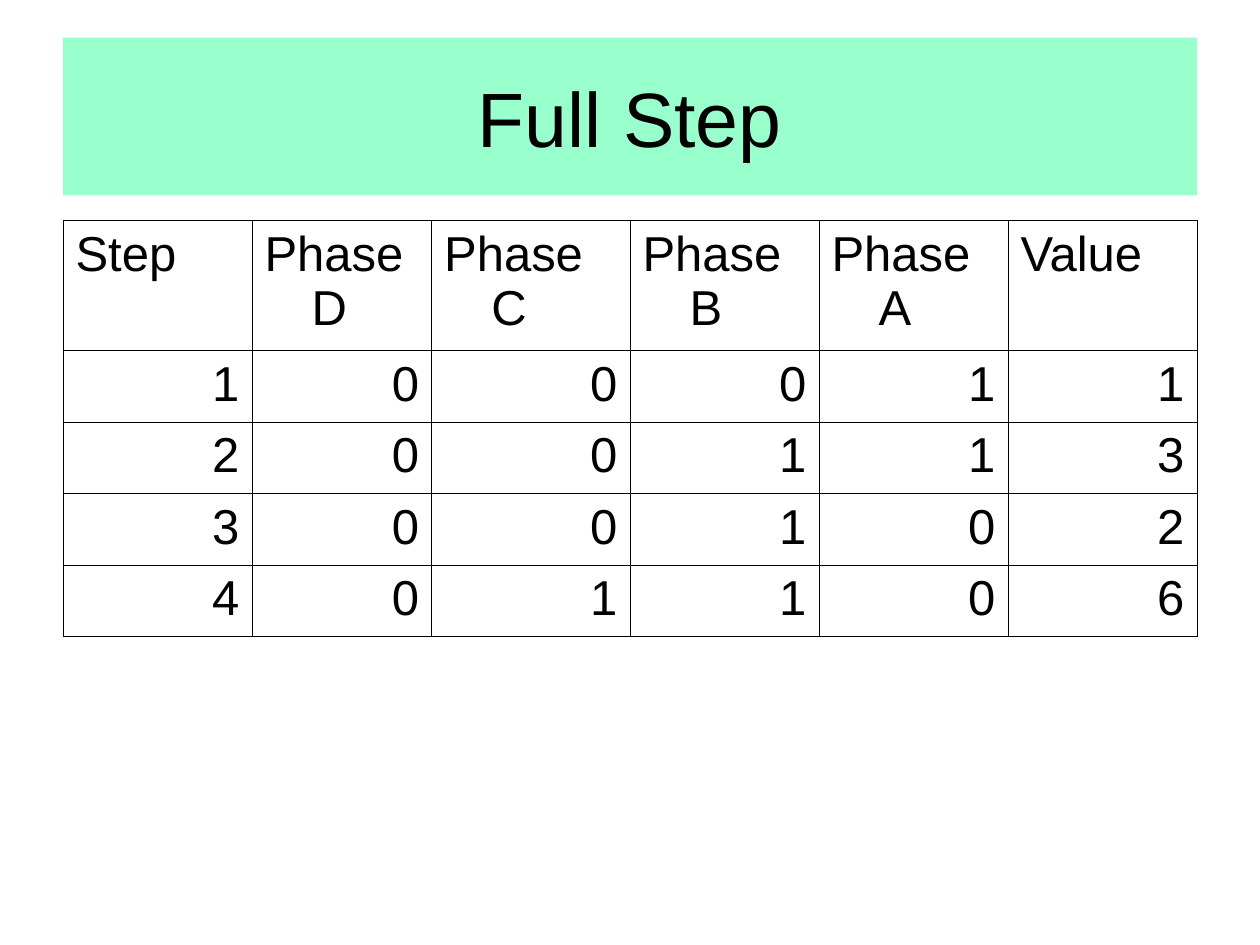
"""Build the Full Step slide: a title band above the stepper motor phase table."""
from lxml import etree
from pptx import Presentation
from pptx import util as u
from pptx.dml.color import RGBColor
from pptx.enum import text
from pptx.oxml import ns

MINT = RGBColor(0x99, 0xFF, 0xCC)
BLACK = RGBColor(0, 0, 0)
FONT = "Arial"

HEADINGS = ["Step", "Phase D", "Phase C", "Phase B", "Phase A", "Value"]
STEPS = [
    [1, 0, 0, 0, 1, 1],
    [2, 0, 0, 1, 1, 3],
    [3, 0, 0, 1, 0, 2],
    [4, 0, 1, 1, 0, 6],
]
COLUMN_WIDTHS = [3.81, 3.62, 4, 3.81, 3.81, 3.81]
ROW_HEIGHTS = [2.62] + [1.44] * len(STEPS)
HANGING_INDENT = u.Cm(0.95)
BORDER_WIDTH = u.Pt(0.45)


def add_run(paragraph, wording, size):
    run = paragraph.add_run()
    run.text = wording
    run.font.name = FONT
    run.font.size = u.Pt(size)
    run.font.bold = False
    run.font.color.rgb = BLACK


def add_borders(cell):
    properties = cell._tc.get_or_add_tcPr()
    for side in ("a:lnL", "a:lnR", "a:lnT", "a:lnB"):
        line = etree.SubElement(properties, ns.qn(side), w=str(BORDER_WIDTH))
        fill = etree.SubElement(line, ns.qn("a:solidFill"))
        etree.SubElement(fill, ns.qn("a:srgbClr"), val=str(BLACK))


deck = Presentation()
deck.slide_width, deck.slide_height = u.Cm(25.4), u.Cm(19.05)
slide = deck.slides.add_slide(deck.slide_layouts[5])

title = slide.shapes.title
title.left, title.top = u.Cm(1.27), u.Cm(0.76)
title.width, title.height = u.Cm(22.86), u.Cm(3.18)
title.fill.solid()
title.fill.fore_color.rgb = MINT
title.text_frame.vertical_anchor = text.MSO_ANCHOR.MIDDLE
heading = title.text_frame.paragraphs[0]
heading.alignment = text.PP_ALIGN.CENTER
add_run(heading, "Full Step", 44)

phases = slide.shapes.add_table(
    len(ROW_HEIGHTS), len(COLUMN_WIDTHS), u.Cm(1.27), u.Cm(4.45),
    u.Cm(sum(COLUMN_WIDTHS)), u.Cm(sum(ROW_HEIGHTS))).table
phases.first_row = phases.horz_banding = False
for column, width in zip(phases.columns, COLUMN_WIDTHS):
    column.width = u.Cm(width)
for row, height in zip(phases.rows, ROW_HEIGHTS):
    row.height = u.Cm(height)

for row_number, values in enumerate([HEADINGS] + STEPS):
    for column_number, value in enumerate(values):
        cell = phases.cell(row_number, column_number)
        add_borders(cell)
        cell.fill.background()
        entry = cell.text_frame.paragraphs[0]
        entry.alignment = text.PP_ALIGN.RIGHT if row_number else text.PP_ALIGN.LEFT
        indents = entry._p.get_or_add_pPr()
        indents.set("marL", str(HANGING_INDENT))
        indents.set("indent", str(-HANGING_INDENT))
        add_run(entry, str(value), 28)

deck.save("out.pptx")
